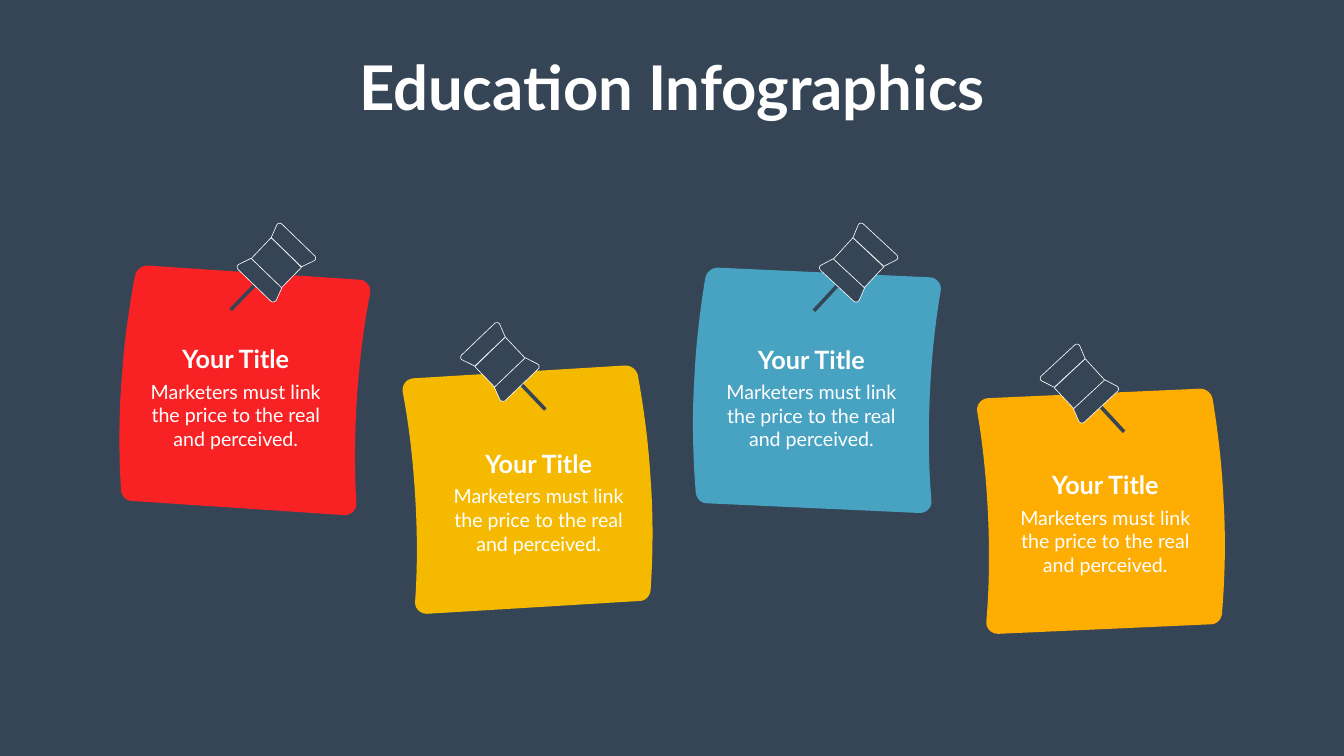
"""Build a slide of four pinned, curling notes under a headline."""
from dataclasses import dataclass
from math import cos, radians, sin

from pptx import Presentation
from pptx.dml.color import RGBColor
from pptx.enum.text import MSO_AUTO_SIZE, PP_ALIGN
from pptx.util import Inches, Pt

CENTER = PP_ALIGN.CENTER
GROW = MSO_AUTO_SIZE.SHAPE_TO_FIT_TEXT
BLANK_LAYOUT = 6
CURVE_STEPS = 10


@dataclass(frozen=True)
class Theme:
    """Colours, font and type sizes of the slide."""
    font: str = "Lato"
    slate: str = "364556"
    white: str = "FFFFFF"
    headline: int = 88
    title: int = 36
    body: int = 28
    pin_line: float = 0.88


@dataclass(frozen=True)
class Note:
    """Centre in page percent; pin and text offsets in percent of the note side."""
    color: str
    center: tuple
    turn: float
    mirrored: bool
    pin_shift: float
    text_shift: tuple


@dataclass(frozen=True)
class Frame:
    """A square drawing area whose outlines may be turned and mirrored."""
    x: float
    y: float
    side: float
    turn: float
    mirrored: bool

    def place(self, point):
        """Map a point in percent of the side to the page."""
        angle = radians(self.turn)
        across = point[0] * cos(angle) - point[1] * sin(angle)
        down = point[0] * sin(angle) + point[1] * cos(angle)
        direction = -1 if self.mirrored else 1
        return (round(self.x + direction * across * self.side / 100),
                round(self.y + down * self.side / 100))


THEME = Theme()
HEADLINE = "Education Infographics"
TITLE = "Your Title"
BODY = "Marketers must link the price to the real and perceived."

NOTES = [
    Note("F82225", (18.23, 51.63), 0, False, 12.4, (-3.7, -19.5)),
    Note("F5BA00", (39.23, 64.77), -0.35, True, -10.8, (4.5, -17.3)),
    Note("48A3C2", (60.84, 51.63), -1.2, False, 16.2, (-2.5, -19.3)),
    Note("FEAD02", (81.86, 67.63), -1.25, True, -8.2, (2, -17.5)),
]
PIN_RISE = -50.6
TEXT_WIDTH, TITLE_HEIGHT, BODY_HEIGHT = 75.8, 14.2, 30.2

# Each segment holds one point for a line or three for a Bézier curve.
NOTE_OUTLINE = [
    [(39.2, 49.5)],
    [(-44.8, 43.9)],
    [(-47.2, 43.9), (-49, 41.9), (-49.2, 39.5)],
    [(-50, 26.1), (-50.2, 10.7), (-48.8, -6.1)],
    [(-47.8, -20.7), (-45.8, -33.9), (-43.6, -45.7)],
    [(-43, -47.9), (-41, -49.5), (-38.6, -49.5)],
    [(45.4, -43.9)],
    [(48.2, -43.7), (50.2, -41.1), (49.6, -38.3)],
    [(47.2, -26.1), (45.4, -12.1), (44.4, 3.3)],
    [(43.4, 18.5), (43.4, 32.3), (44.2, 44.7)],
    [(44.4, 47.5), (42, 49.7), (39.2, 49.5)],
]
NEEDLE = [[(-17.6, 19.2)], [(-18.6, 18.2)], [(-0.6, -0.4)], [(0.4, 0.6)]]
BARREL = [[(2, 10)], [(-10, -1.6)], [(-2, -10)], [(10, 1.8)]]
HEAD = [
    [(15.2, -2.8)], [(2.4, -15.2)],
    [(1.6, -16), (0.6, -15.8), (0.2, -15)],
    [(-2, -10)], [(10, 1.6)], [(15, -0.8)],
    [(15.8, -1.2), (15.8, -2.2), (15.2, -2.8)],
]
COLLAR = [
    [(-2.2, 15.2)], [(-15, 2.8)],
    [(-15.8, 2), (-15.6, 1), (-14.8, 0.6)],
    [(-10, -1.8)], [(2.2, 10)], [(0, 14.8)],
    [(-0.4, 15.6), (-1.6, 15.8), (-2.2, 15.2)],
]


def trace(outline):
    """Turn line and curve segments into one list of points."""
    points = []
    for segment in outline:
        if len(segment) == 1:
            points += segment
            continue
        controls = [points[-1], *segment]
        for step in range(1, CURVE_STEPS + 1):
            t = step / CURVE_STEPS
            weights = ((1 - t) ** 3, 3 * t * (1 - t) ** 2, 3 * t * t * (1 - t), t ** 3)
            points.append(tuple(sum(w * c[axis] for w, c in zip(weights, controls))
                                for axis in (0, 1)))
    return points


def draw_outline(page, frame, outline, color, line_color=None):
    """Draw a filled outline in a frame, with a thin line if one is asked for."""
    first, *others = [frame.place(point) for point in trace(outline)]
    builder = page.shapes.build_freeform(*first)
    builder.add_line_segments(others, close=True)
    shape = builder.convert_to_shape()
    shape.shadow.inherit = False
    shape.fill.solid()
    shape.fill.fore_color.rgb = RGBColor.from_string(color)
    if line_color:
        shape.line.color.rgb = RGBColor.from_string(line_color)
        shape.line.width = Pt(THEME.pin_line)
    else:
        shape.line.fill.background()


def add_text(shapes, area, text, size, bold=False, wrap=True):
    """Add one centred white paragraph in an area of left, top, width, height."""
    box = shapes.add_textbox(*(round(length) for length in area))
    box.text_frame.word_wrap = wrap
    box.text_frame.auto_size = GROW
    box.text_frame.text = text
    para = box.text_frame.paragraphs[0]
    para.alignment = CENTER
    font = para.runs[0].font
    font.name, font.size, font.bold = THEME.font, Pt(size), bold
    font.color.rgb = RGBColor.from_string(THEME.white)


def draw_pin(page, frame):
    """Draw a push pin around the centre of its frame."""
    draw_outline(page, frame, NEEDLE, THEME.slate)
    for part in (BARREL, HEAD, COLLAR):
        draw_outline(page, frame, part, THEME.slate, THEME.white)


def write_note(page, x, y, side):
    """Write the title and body of a note, centred on x and starting at y."""
    group = page.shapes.add_group_shape()
    width, title_height, body_height = (
        share * side / 100 for share in (TEXT_WIDTH, TITLE_HEIGHT, BODY_HEIGHT))
    left = x - width / 2
    add_text(group.shapes, (left, y + title_height, width, body_height), BODY, THEME.body)
    add_text(group.shapes, (left, y, width, title_height), TITLE, THEME.title, bold=True)


def draw_note(page, note, width, height):
    """Draw a note with its pin and text on a page of the given size."""
    side = height / 3
    x, y = note.center[0] * width / 100, note.center[1] * height / 100
    draw_outline(page, Frame(x, y, side, note.turn, note.mirrored), NOTE_OUTLINE, note.color)
    draw_pin(page, Frame(x + note.pin_shift * side / 100, y + PIN_RISE * side / 100,
                         side, note.turn, note.mirrored))
    across, down = (shift * side / 100 for shift in note.text_shift)
    write_note(page, x + across, y + down, side)


def main():
    """Build and save the deck."""
    deck = Presentation()
    deck.slide_width, deck.slide_height = Inches(26.66), Inches(15)
    width, height = deck.slide_width, deck.slide_height
    page = deck.slides.add_slide(deck.slide_layouts[BLANK_LAYOUT])
    page.background.fill.solid()
    page.background.fill.fore_color.rgb = RGBColor.from_string(THEME.slate)
    headline_area = (0.258 * width, 0.061 * height, 0.484 * width, 0.105 * height)
    add_text(page.shapes, headline_area, HEADLINE, THEME.headline, bold=True, wrap=False)
    for note in NOTES:
        draw_note(page, note, width, height)
    deck.save("out.pptx")


if __name__ == "__main__":
    main()
